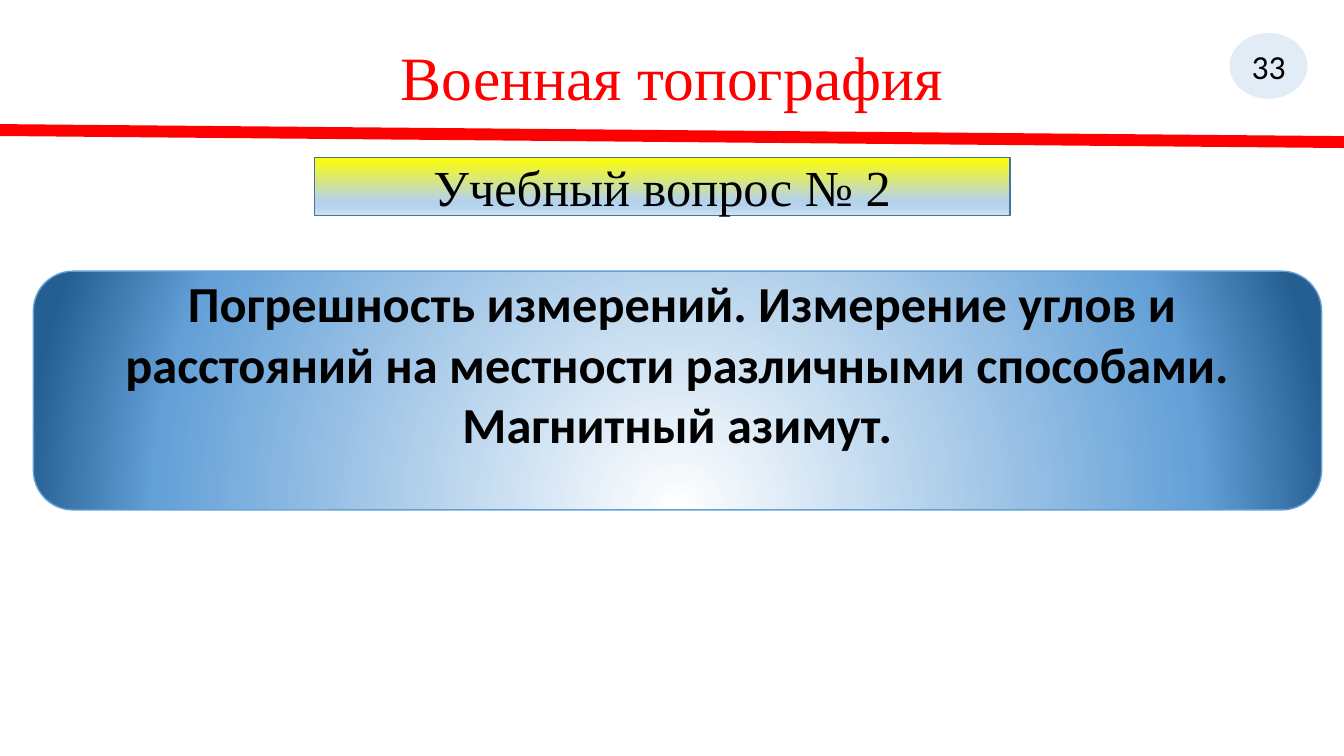
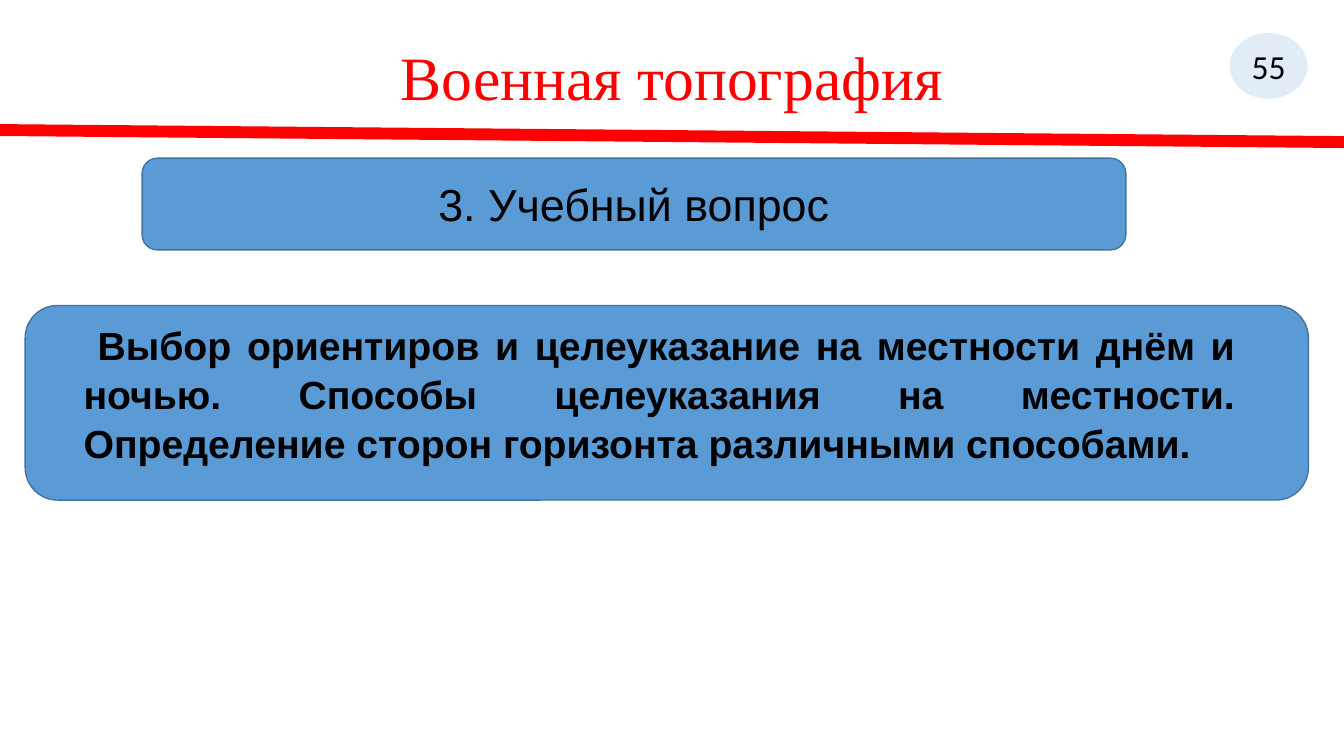
from dataclasses import dataclass
from typing import Optional

from lxml.etree import SubElement, fromstring
from pptx import Presentation
from pptx.dml.color import RGBColor
from pptx.enum.shapes import MSO_CONNECTOR as Connector
from pptx.enum.shapes import MSO_SHAPE as Preset
from pptx.enum.text import MSO_ANCHOR as Anchor
from pptx.enum.text import PP_ALIGN as Align
from pptx.oxml.ns import nsdecls, qn
from pptx.util import Pt


@dataclass(frozen=True)
class Theme:
    black: str = "000000"
    white: str = "FFFFFF"
    red: str = "FF0000"
    blue: str = "5B9BD5"
    outline: str = "43739E"
    glow_outline: str = "63A0D7"
    serif: str = "Times New Roman"
    sans: str = "Arial"
    body: str = "Calibri"
    title_size: float = 44
    topic_size: float = 36
    question_size: float = 32
    task_size: float = 28
    number_size: float = 24
    rule_width: float = 8.5
    outline_width: float = 1


THEME = Theme()


@dataclass(frozen=True)
class Gradient:
    stops: tuple[tuple[int, str], ...]
    direction: str


HEADING_GRADIENT = Gradient(
    ((0, "FFFF00"), (74, "B5D2EC"), (83, "B5D2EC"), (100, "CEE1F2")),
    '<a:lin ang="5400000" scaled="0"/>',
)
TOPIC_GRADIENT = Gradient(
    ((0, THEME.white), (80, THEME.glow_outline), (100, "255E91")),
    '<a:path path="circle"><a:fillToRect l="50000" t="130000" r="50000" b="-30000"/></a:path>',
)


@dataclass(frozen=True)
class Box:
    left: float
    top: float
    width: float
    height: float

    def lengths(self) -> tuple[Pt, Pt, Pt, Pt]:
        return Pt(self.left), Pt(self.top), Pt(self.width), Pt(self.height)


@dataclass(frozen=True)
class Wording:
    text: str
    font: str
    size: float
    color: str = THEME.black
    bold: bool = False
    align: Align = Align.CENTER
    indent: float = 0
    line_spacing: float = 1.0
    bottom_inset: float = 3.6


@dataclass(frozen=True)
class Panel:
    box: Box
    preset: Optional[Preset] = None
    fill: str | Gradient = THEME.blue
    opacity: int = 100
    outline: str = THEME.outline
    wording: Optional[Wording] = None


@dataclass(frozen=True)
class QuestionSlide:
    number: int
    panels: tuple[Panel, ...]


TITLE = Panel(
    Box(66, 28.8, 828, 58),
    wording=Wording("Военная топография", THEME.serif, THEME.title_size, THEME.red, line_spacing=0.9),
)

SLIDES = (
    QuestionSlide(33, (
        Panel(
            Box(224.64, 112.3, 496.8, 41.8), Preset.RECTANGLE, HEADING_GRADIENT,
            wording=Wording("Учебный вопрос № 2", THEME.serif, THEME.topic_size),
        ),
        Panel(
            Box(23.8, 193.7, 920.2, 170.6), Preset.ROUNDED_RECTANGLE, TOPIC_GRADIENT,
            outline=THEME.glow_outline,
            wording=Wording(
                "Погрешность измерений. Измерение углов и расстояний на местности "
                "различными способами. Магнитный азимут.",
                THEME.body, THEME.topic_size, bold=True, indent=7, bottom_inset=42.6,
            ),
        ),
    )),
    QuestionSlide(55, (
        Panel(Box(18, 218.2, 916.6, 139), Preset.ROUNDED_RECTANGLE),
        Panel(
            Box(52.6, 226.1, 836.6, 108.7),
            wording=Wording(
                "Выбор ориентиров и целеуказание на местности днём и ночью. "
                "Способы целеуказания на местности. "
                "Определение сторон горизонта различными способами.",
                THEME.sans, THEME.task_size, bold=True, align=Align.JUSTIFY,
                indent=10, line_spacing=1.04,
            ),
        ),
        Panel(
            Box(101.5, 113, 702.7, 65.5), Preset.ROUNDED_RECTANGLE,
            wording=Wording("3. Учебный вопрос", THEME.sans, THEME.question_size),
        ),
    )),
)


def rgb(color: str) -> RGBColor:
    return RGBColor.from_string(color)


def write(shape, wording: Wording) -> None:
    frame = shape.text_frame
    frame.word_wrap = True
    frame.vertical_anchor = Anchor.MIDDLE
    frame.margin_bottom = Pt(wording.bottom_inset)
    paragraph = frame.paragraphs[0]
    paragraph.text = wording.text
    paragraph.alignment = wording.align
    paragraph.line_spacing = wording.line_spacing
    if wording.indent:
        paragraph._p.get_or_add_pPr().set("indent", str(Pt(wording.indent)))
    font = paragraph.font
    font.name = wording.font
    font.size = Pt(wording.size)
    font.bold = wording.bold
    font.color.rgb = rgb(wording.color)


def paint_gradient(shape, gradient: Gradient) -> None:
    stops = "".join(
        f'<a:gs pos="{percent * 1000}"><a:srgbClr val="{color}"/></a:gs>'
        for percent, color in gradient.stops
    )
    shape.fill.background()
    properties = shape._element.spPr
    properties.replace(
        properties.find(qn("a:noFill")),
        fromstring(
            f'<a:gradFill {nsdecls("a")} rotWithShape="1">'
            f"<a:gsLst>{stops}</a:gsLst>{gradient.direction}</a:gradFill>"
        ),
    )


def paint_solid(shape, color: str, opacity: int) -> None:
    shape.fill.solid()
    shape.fill.fore_color.rgb = rgb(color)
    if opacity < 100:
        tint = shape._element.spPr.find(qn("a:solidFill")).find(qn("a:srgbClr"))
        SubElement(tint, qn("a:alpha")).set("val", str(opacity * 1000))


def draw_panel(slide, panel: Panel) -> None:
    if panel.preset is None:
        shape = slide.shapes.add_textbox(*panel.box.lengths())
    else:
        shape = slide.shapes.add_shape(panel.preset, *panel.box.lengths())
        shape.shadow.inherit = False
        if isinstance(panel.fill, Gradient):
            paint_gradient(shape, panel.fill)
        else:
            paint_solid(shape, panel.fill, panel.opacity)
        shape.line.color.rgb = rgb(panel.outline)
        shape.line.width = Pt(THEME.outline_width)
    if panel.wording:
        write(shape, panel.wording)


def draw_header(slide, number: int) -> None:
    draw_panel(slide, TITLE)
    rule = slide.shapes.add_connector(Connector.STRAIGHT, Pt(0), Pt(92.9), Pt(960), Pt(101.5))
    rule.line.color.rgb = rgb(THEME.red)
    rule.line.width = Pt(THEME.rule_width)
    SubElement(rule._element.spPr, qn("a:effectLst"))
    draw_panel(slide, Panel(
        Box(877.7, 23, 56.9, 48.2), Preset.OVAL, opacity=18, outline=THEME.white,
        wording=Wording(str(number), THEME.body, THEME.number_size),
    ))


def main() -> None:
    presentation = Presentation()
    presentation.slide_width = Pt(960)
    presentation.slide_height = Pt(540)
    blank = presentation.slide_layouts[6]
    for question in SLIDES:
        slide = presentation.slides.add_slide(blank)
        draw_header(slide, question.number)
        for panel in question.panels:
            draw_panel(slide, panel)
    presentation.save("out.pptx")


if __name__ == "__main__":
    main()
